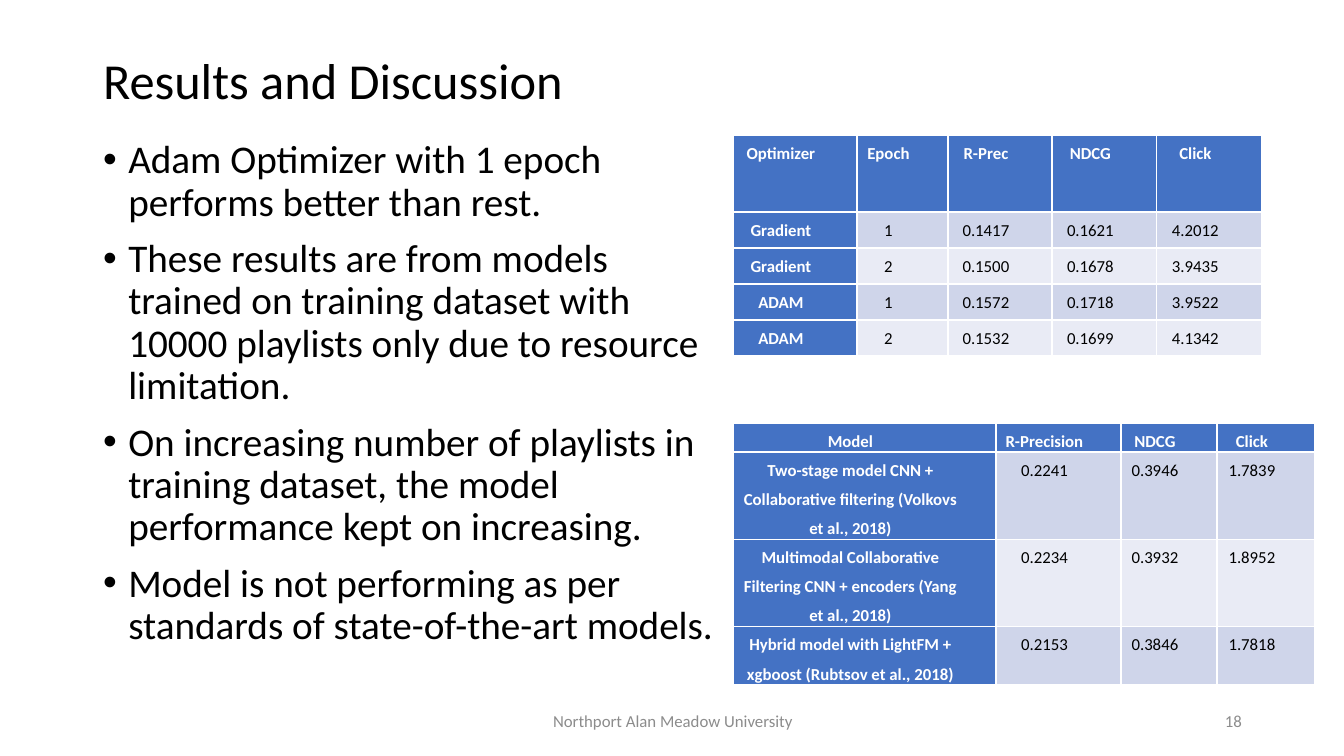
from pptx import Presentation
from pptx import util as u
from pptx.dml.color import RGBColor
from pptx.enum import text as t

PX = u.Inches(1) / 100.8
BLACK = RGBColor(0x00, 0x00, 0x00)
WHITE = RGBColor(0xFF, 0xFF, 0xFF)
GREY = RGBColor(0x8C, 0x8C, 0x8C)
BLUE = RGBColor(0x44, 0x72, 0xC4)
BANDS = (RGBColor(0xCF, 0xD5, 0xEA), RGBColor(0xE9, 0xEB, 0xF5))

TITLE_FORMAT = {"alignment": t.PP_ALIGN.LEFT, "line_spacing": 0.9}
FINDING_FORMAT = {"alignment": t.PP_ALIGN.LEFT, "line_spacing": 0.9,
                  "space_before": u.Pt(10)}
CELL_FORMAT = {"alignment": t.PP_ALIGN.CENTER, "line_spacing": 1.42,
               "space_before": u.Pt(6.6)}

FINDINGS = [
    "Adam Optimizer with 1 epoch performs better than rest.",
    "These results are from models trained on training dataset with "
    "10000 playlists only due to resource limitation.",
    "On increasing number of playlists in training dataset, the model "
    "performance kept on increasing.",
    "Model is not performing as per standards of state-of-the-art models.",
]
OPTIMIZERS = [
    ("Optimizer", "Epoch", "R-Prec", "NDCG", "Click"),
    ("Gradient", "1", "0.1417", "0.1621", "4.2012"),
    ("Gradient", "2", "0.1500", "0.1678", "3.9435"),
    ("ADAM", "1", "0.1572", "0.1718", "3.9522"),
    ("ADAM", "2", "0.1532", "0.1699", "4.1342"),
]
MODELS = [
    ("Model", "R-Precision", "NDCG", "Click"),
    ("Two-stage model CNN + Collaborative filtering (Volkovs et al., 2018)",
     "0.2241", "0.3946", "1.7839"),
    ("Multimodal Collaborative Filtering CNN + encoders (Yang et al., 2018)",
     "0.2234", "0.3932", "1.8952"),
    ("Hybrid model with LightFM + xgboost (Rubtsov et al., 2018)",
     "0.2153", "0.3846", "1.7818"),
]


def px(length):
    return u.Emu(round(length * PX))


def apply(target, values):
    for name, value in values.items():
        setattr(target, name, value)


def write(paragraph, words, size, color, layout, bold=False):
    run = paragraph.add_run()
    run.text = words
    apply(run.font, {"name": "Calibri", "size": u.Pt(size), "bold": bold})
    run.font.color.rgb = color
    apply(paragraph, layout)


def place(holder, left, top, width, height, anchor):
    apply(holder, {"left": px(left), "top": px(top),
                   "width": px(width), "height": px(height)})
    apply(holder.text_frame, {"word_wrap": True, "vertical_anchor": anchor,
                              "auto_size": t.MSO_AUTO_SIZE.NONE})
    return holder.text_frame


def add_findings(frame):
    for index, finding in enumerate(FINDINGS):
        paragraph = frame.add_paragraph() if index else frame.paragraphs[0]
        write(paragraph, finding, 28, BLACK, FINDING_FORMAT)
        properties = paragraph._p.get_or_add_pPr()
        properties.set("marL", str(u.Inches(0.25)))
        properties.set("indent", str(-u.Inches(0.25)))


def add_footer(slide, words, left, width, alignment):
    footer = slide.shapes.add_textbox(0, 0, 0, 0)
    frame = place(footer, left, 701, width, 40, t.MSO_ANCHOR.MIDDLE)
    write(frame.paragraphs[0], words, 12, GREY, {"alignment": alignment})


def fill_cell(cell, words, row, column):
    heading = row == 0 or column == 0
    apply(cell, {"margin_left": px(7), "margin_right": px(7),
                 "margin_top": 0, "margin_bottom": 0})
    cell.fill.solid()
    cell.fill.fore_color.rgb = BLUE if heading else BANDS[(row - 1) % 2]
    paragraph = cell.text_frame.paragraphs[0]
    write(paragraph, words, 12, WHITE if heading else BLACK, CELL_FORMAT, heading)
    paragraph._p.get_or_add_pPr().set("marR", str(px(28)))


def add_results(slide, records, top, widths, heights):
    results = slide.shapes.add_table(
        len(records), len(widths), px(733), px(top),
        px(sum(widths)), px(sum(heights))).table
    results.first_col = True
    for column, width in zip(results.columns, widths):
        column.width = px(width)
    for row, height in zip(results.rows, heights):
        row.height = px(height)
    for row, record in enumerate(records):
        for column, words in enumerate(record):
            fill_cell(results.cell(row, column), words, row, column)


def main():
    deck = Presentation()
    apply(deck, {"slide_width": px(1344), "slide_height": px(756)})
    slide = deck.slides.add_slide(deck.slide_layouts[1])

    heading = place(slide.shapes.title, 93, 40, 1159, 87, t.MSO_ANCHOR.MIDDLE)
    write(heading.paragraphs[0], "Results and Discussion", 36, BLACK, TITLE_FORMAT)
    add_findings(place(slide.placeholders[1], 93, 135, 640, 545, t.MSO_ANCHOR.TOP))

    add_footer(slide, "Northport Alan Meadow University", 446, 454, t.PP_ALIGN.CENTER)
    add_footer(slide, "18", 950, 302, t.PP_ALIGN.RIGHT)

    add_results(slide, OPTIMIZERS, 135, [124, 91, 104, 105, 105], [77] + [36] * 4)
    add_results(slide, MODELS, 423, [263, 125, 96, 98], [29, 87, 87, 58])
    deck.save("out.pptx")


if __name__ == "__main__":
    main()
